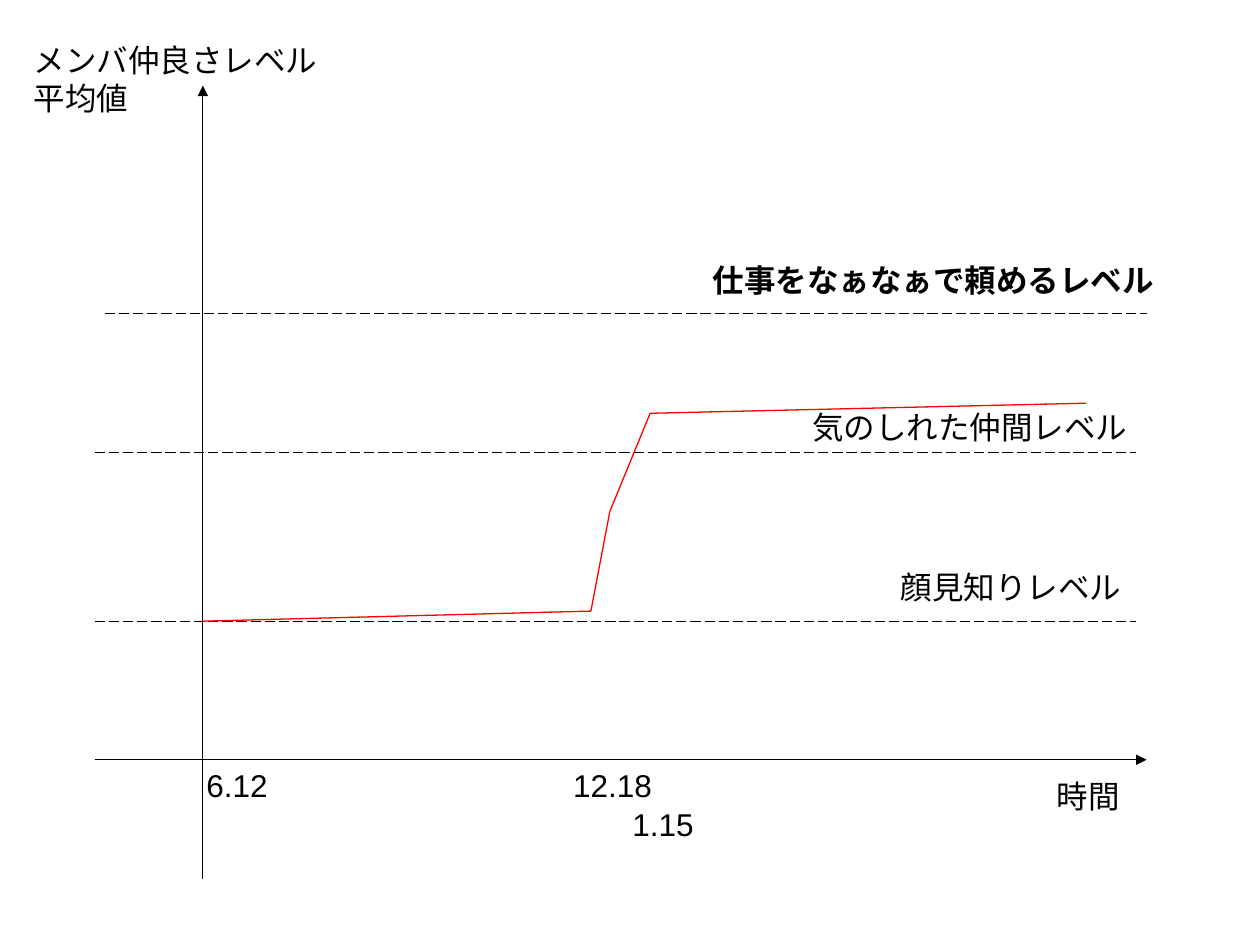
from itertools import pairwise

from lxml import etree
from pptx import Presentation
from pptx.dml.color import RGBColor
from pptx.enum.dml import MSO_LINE
from pptx.enum.shapes import MSO_CONNECTOR
from pptx.enum.text import MSO_AUTO_SIZE
from pptx.oxml.ns import qn
from pptx.util import Inches, Pt

STRAIGHT = MSO_CONNECTOR.STRAIGHT
LONG_DASH = MSO_LINE.LONG_DASH
FIT_SHAPE = MSO_AUTO_SIZE.SHAPE_TO_FIT_TEXT
BLACK = RGBColor(0x00, 0x00, 0x00)
RED = RGBColor(0xFF, 0x00, 0x00)
FONT = "Arial"

TIME_AXIS_Y = 6.03
LEVEL_AXIS_X = 1.61
LEVEL_LINES = [(0.75, 4.93), (0.75, 3.59), (0.83, 2.49)]
LEVEL_LENGTH = 8.27
CURVE = [(LEVEL_AXIS_X, 4.93), (4.69, 4.85), (4.84, 4.06), (5.16, 3.28), (8.62, 3.2)]
LABELS = [
    ("時間", 8.29, 6.12, 0.7),
    ("6.12", 1.54, TIME_AXIS_Y, 0.7),
    ("12.18", 4.45, TIME_AXIS_Y, 0.84),
    ("1.15", 4.92, 6.34, 0.7),
    ("気のしれた仲間レベル", 6.35, 3.19, 2.7),
    ("顔見知りレベル", 7.05, 4.46, 1.95),
]


def add_line(s, start, end, color=BLACK, dash=None, arrow=False):
    """Draw a thin straight line, optionally dashed or with an arrowhead at its end."""
    line = s.shapes.add_connector(STRAIGHT, *map(Inches, (*start, *end)))
    line.line.color.rgb = color
    line.line.width = Pt(0.75)
    if dash is not None:
        line.line.dash_style = dash
    if arrow:
        etree.SubElement(line.line._get_or_add_ln(), qn("a:tailEnd"), type="triangle")
    etree.SubElement(line._element.spPr, qn("a:effectLst"))
    return line


def add_label(s, text, x, y, w, h=0.4, size=18, bold=False, color=BLACK):
    """Add an unwrapped text box with one paragraph per line of text."""
    sp = s.shapes.add_textbox(*map(Inches, (x, y, w, h)))
    tf = sp.text_frame
    tf.word_wrap = False
    tf.auto_size = FIT_SHAPE
    for i, line in enumerate(text.split("\n")):
        p = tf.add_paragraph() if i else tf.paragraphs[0]
        r = p.add_run()
        r.text = line
        r.font.name = FONT
        r.font.size = Pt(size)
        r.font.bold = bold
        r.font.color.rgb = color
    return sp


def add_axes(s):
    """Draw the time axis and the level axis."""
    add_line(s, (0.75, TIME_AXIS_Y), (9.1, TIME_AXIS_Y), arrow=True)
    add_line(s, (LEVEL_AXIS_X, 6.98), (LEVEL_AXIS_X, 0.68), arrow=True)


def add_curve(s, points):
    """Draw the red friendship curve through the given points."""
    for start, end in pairwise(points):
        add_line(s, start, end, color=RED)


def main():
    """Build the friendship level slide and save it."""
    prs = Presentation()
    prs.slide_width, prs.slide_height = Inches(10), Inches(7.5)
    s = prs.slides.add_slide(prs.slide_layouts[6])
    add_axes(s)
    for x, y in LEVEL_LINES:
        add_line(s, (x, y), (x + LEVEL_LENGTH, y), dash=LONG_DASH)
    add_label(s, "メンバ仲良さレベル\n平均値", 0.17, 0.28, 2.45, h=0.7)
    add_label(s, "仕事をなぁなぁで頼めるレベル", 5.56, 2.02, 3.7, bold=True)
    for text, x, y, w in LABELS:
        add_label(s, text, x, y, w)
    add_curve(s, CURVE)
    prs.save("out.pptx")


if __name__ == "__main__":
    main()
